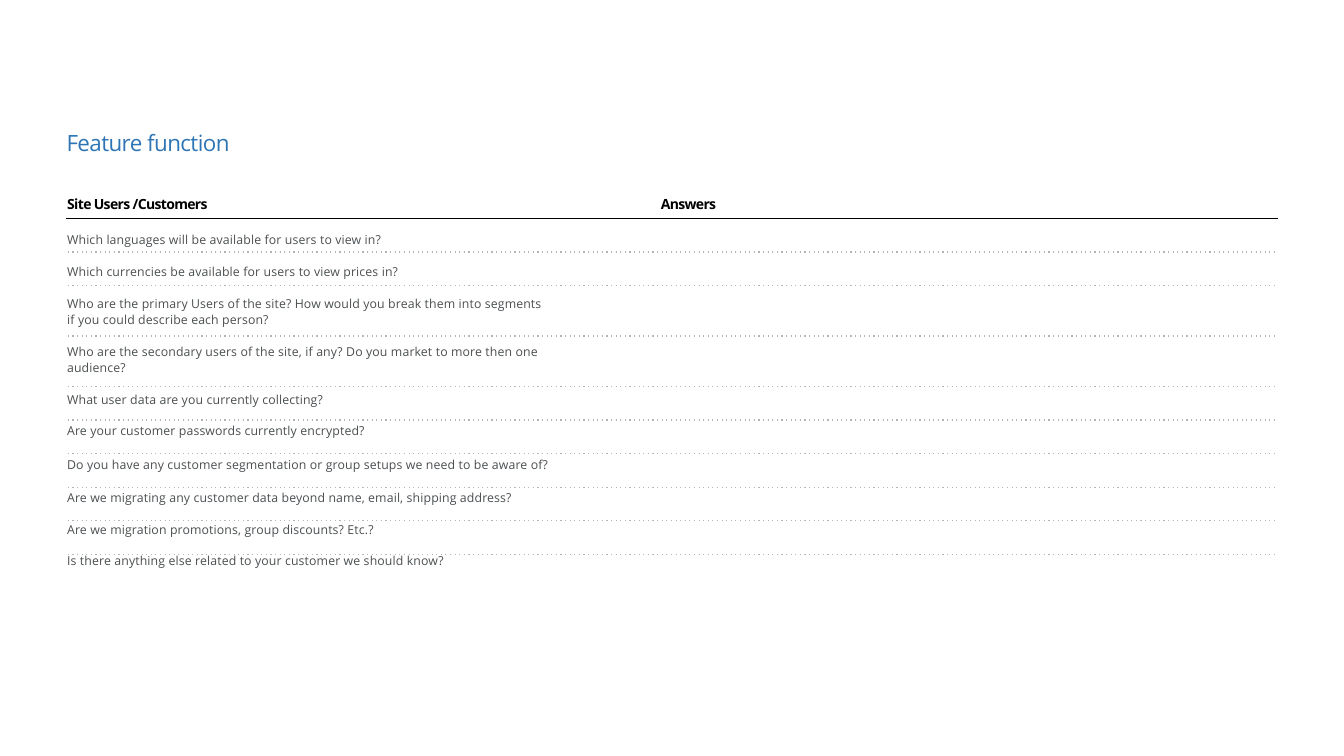
"""Build the slide of feature function questions about site users and customers."""
import collections

import lxml.etree
import pptx
import pptx.dml.color
import pptx.enum.dml
import pptx.enum.shapes
import pptx.enum.text
import pptx.oxml.ns
import pptx.util

Pt = pptx.util.Pt
Box = collections.namedtuple("Box", "left top width height")

COLORS = {"title": "2E75B5", "heading": "000000", "question": "4B4F51",
          "header_rule": "000101", "row_rule": "B4B5B7"}
FONT = "Open Sans"
RULE_WEIGHT = 0.82
LINE_HEIGHT = 11.75
ROW_HEIGHTS = {1: 24, 2: 36}

Question = collections.namedtuple("Question", "text lines gap")
QUESTIONS = [
    Question("Which languages will be available for users to view in?", 1, 0),
    Question("Which currencies be available for users to view prices in?", 1, 10.4),
    Question("Who are the primary Users of the site? How would you break them into segments"
             "\vif you could describe each person?", 2, 11.1),
    Question("Who are the secondary users of the site, if any? Do you market to more then one "
             "audience?", 2, 11.1),
    Question("What user data are you currently collecting?", 1, 10.4),
    Question("Are your customer passwords currently encrypted?", 1, 10.4),
    Question("Do you have any customer segmentation or group setups we need to be aware of?",
             1, 12.5),
    Question("Are we migrating any customer data beyond name, email, shipping address?", 1, 11.8),
    Question("Are we migration promotions, group discounts? Etc.?", 1, 11.1),
    Question("Is there anything else related to your customer we should know?", 1, 10.4),
]


def add_text(page, box, texts, *, size, color, bold=False, tracking=0, gaps=None,
             line_height=None, anchor=pptx.enum.text.MSO_ANCHOR.TOP, wrap=False):
    shape = page.shapes.add_textbox(*map(Pt, box))
    frame = shape.text_frame
    frame.word_wrap = wrap
    frame.vertical_anchor = anchor
    frame.margin_left = frame.margin_right = frame.margin_top = frame.margin_bottom = 0
    for index, text in enumerate(texts):
        para = frame.add_paragraph() if index else frame.paragraphs[0]
        para.text = text
        para.space_before = Pt(gaps[index] if gaps else 0)
        if line_height:
            para.line_spacing = Pt(line_height)
        for span in para.runs:
            span.font.name = FONT
            span.font.size = Pt(size)
            span.font.bold = bold
            span.font.color.rgb = pptx.dml.color.RGBColor.from_string(COLORS[color])
            span.font._element.set("spc", str(round(tracking * 100)))


def add_rule(page, left, right, top, color, dotted=False):
    rule = page.shapes.add_connector(pptx.enum.shapes.MSO_CONNECTOR.STRAIGHT,
                                     Pt(left), Pt(top), Pt(right), Pt(top))
    rule.line.width = Pt(RULE_WEIGHT)
    rule.line.color.rgb = pptx.dml.color.RGBColor.from_string(COLORS[color])
    if dotted:
        rule.line.dash_style = pptx.enum.dml.MSO_LINE.ROUND_DOT
        dash = rule._element.spPr.find(".//" + pptx.oxml.ns.qn("a:prstDash"))
        dash.set("val", "dot")
    lxml.etree.SubElement(rule._element.spPr, pptx.oxml.ns.qn("a:effectLst"))


def add_title(page, box):
    add_text(page, box, ["Feature function"], size=16, color="title", tracking=-0.4,
             anchor=pptx.enum.text.MSO_ANCHOR.MIDDLE)


def add_header(page, box):
    for offset, heading in ((0, "Site Users /Customers"), (424, "Answers")):
        heading_box = Box(box.left + offset, box.top, 109, 13)
        add_text(page, heading_box, [heading], size=10, color="heading", bold=True,
                 tracking=-0.45)
    add_rule(page, box.left - 0.5, box.left + box.width, box.top + box.height, "header_rule")


def add_questions(page, box):
    text_box = Box(box.left, box.top + 9, 349, box.height - 9)
    add_text(page, text_box, [question.text for question in QUESTIONS], size=8.8,
             color="question", tracking=0.1, gaps=[question.gap for question in QUESTIONS],
             line_height=LINE_HEIGHT, wrap=True)
    rule_top = box.top
    for question in QUESTIONS[:-1]:
        rule_top += ROW_HEIGHTS[question.lines]
        add_rule(page, box.left + 0.5, box.left + box.width, rule_top, "row_rule", dotted=True)


def build():
    deck = pptx.Presentation()
    deck.slide_width, deck.slide_height = Pt(960), Pt(540)
    page = deck.slides.add_slide(deck.slide_layouts[6])
    add_title(page, Box(47.5, 92, 120, 20))
    add_header(page, Box(48, 139.5, 865, 16.5))
    add_questions(page, Box(48, 156, 864, 250))
    deck.save("out.pptx")


build()
